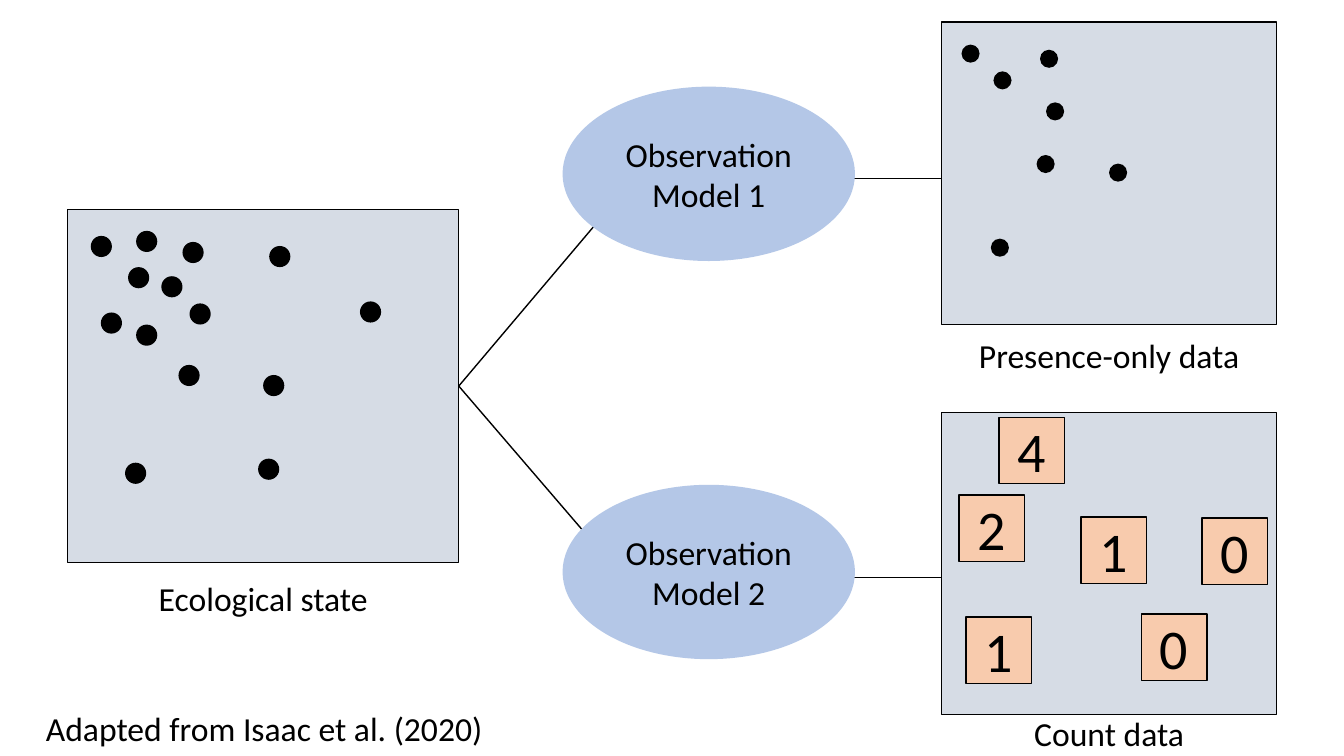
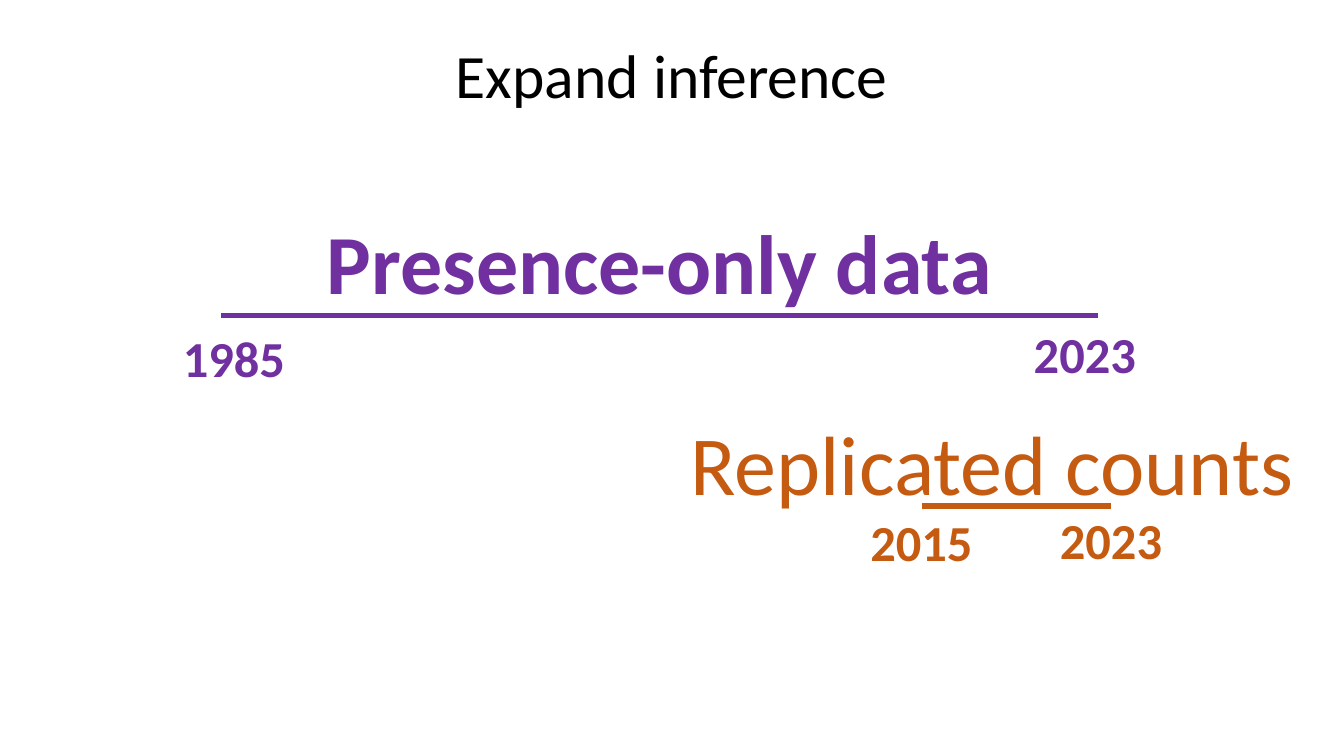
"""Build two slides on integrating presence-only and count data."""
import pptx
import pptx.util
from pptx.dml.color import RGBColor
from pptx.enum.shapes import MSO_CONNECTOR, MSO_SHAPE
from pptx.enum.text import MSO_ANCHOR, PP_ALIGN
from pptx.oxml.ns import qn
from lxml import etree

WIDTH, HEIGHT = 13.33, 7.5
FONT = "Calibri"
BLACK, PANEL, MODEL, TILE = "000000", "D6DCE5", "B4C7E7", "F8CBAD"
PURPLE, ORANGE = "7030A0", "C55A11"

STATE_PANEL = (0.67, 2.08, 3.88, 3.5)
PRESENCE_PANEL = (9.34, 0.22, 3.32, 3)
COUNT_PANEL = (9.34, 4.09, 3.32, 3)
DOT_SIZE = 0.21
DETECTED = [(0.23, 0.26), (0.6, 0.57), (1.14, 0.32), (1.21, 0.93),
            (1.1, 1.54), (1.94, 1.64), (0.57, 2.51)]
MISSED = [(0.68, 0.21), (0.68, 1.14), (2, 0.36), (1.89, 2.47),
          (2.9, 0.91), (0.93, 0.66), (0.33, 1.02)]
COUNTS = [("2", 0.17, 0.82), ("4", 0.57, 0.05), ("1", 0.24, 2.03),
          ("0", 1.98, 2), ("0", 2.58, 1.05), ("1", 1.38, 1.04)]
MODELS = [("Observation Model 1", 0.86), ("Observation Model 2", 4.81)]
CAPTIONS = [("Presence-only data", 9.34, 3.3, 3.32),
            ("Count data", 9.34, 7.05, 3.32),
            ("Ecological state", 0.67, 5.71, 3.88),
            ("Adapted from Isaac et al. (2020)", 0.17, 7, 4.9)]
LINKS = [(4.55, 3.83, 6.03, 2.08), (4.55, 3.83, 5.77, 5.25),
         (8.41, 1.77, 9.67, 1.77), (8.41, 5.73, 9.67, 5.73)]

TITLE = ("Expand inference", WIDTH / 2, 0.4, 44, False)
TIMELINES = [
    {"color": PURPLE, "bar": (2.19, 3.13, 10.89, 3.13),
     "labels": [("Presence-only data", 6.54, 2.15, 60, True),
                ("1985", 2.32, 3.26, 36, True),
                ("2023", 10.76, 3.22, 36, True)]},
    {"color": ORANGE, "bar": (9.14, 5.02, 11.02, 5.02),
     "labels": [("Replicated counts", 9.84, 4.15, 60, False),
                ("2015", 9.14, 5.09, 36, True),
                ("2023", 11.02, 5.07, 36, True)]},
]


def rgb(color):
    return RGBColor.from_string(color)


def inches(*lengths):
    return [pptx.util.Inches(length) for length in lengths]


def write(shape, text, size, color=BLACK, bold=False, anchor=MSO_ANCHOR.MIDDLE):
    frame = shape.text_frame
    frame.text = text
    frame.word_wrap = True
    frame.vertical_anchor = anchor
    paragraph = frame.paragraphs[0]
    paragraph.alignment = PP_ALIGN.CENTER
    font = paragraph.runs[0].font
    font.name, font.size, font.bold = FONT, pptx.util.Pt(size), bold
    font.color.rgb = rgb(color)
    return paragraph


def add_box(slide, kind, box, fill, outlined=False):
    shape = slide.shapes.add_shape(kind, *inches(*box))
    shape.shadow.inherit = False
    shape.fill.solid()
    shape.fill.fore_color.rgb = rgb(fill)
    if outlined:
        shape.line.color.rgb = rgb(BLACK)
        shape.line.width = pptx.util.Pt(1)
    else:
        shape.line.fill.background()
    return shape


def add_line(slide, ends, color, width):
    line = slide.shapes.add_connector(MSO_CONNECTOR.STRAIGHT, *inches(*ends))
    line.line.color.rgb = rgb(color)
    line.line.width = pptx.util.Pt(width)
    etree.SubElement(line._element.spPr, qn("a:effectLst"))


def add_label(slide, text, center, top, size, bold, color=BLACK):
    width, height = 6.8, 1.2
    box = slide.shapes.add_textbox(*inches(center - width / 2, top, width, height))
    write(box, text, size, color, bold, MSO_ANCHOR.TOP).line_spacing = 0.9


def add_dot_panel(slide, panel, dots):
    left, top, width, height = panel
    scale = width / STATE_PANEL[2]
    size = DOT_SIZE * scale
    add_box(slide, MSO_SHAPE.RECTANGLE, panel, PANEL, True)
    for x, y in dots:
        dot = (left + x * scale, top + y * scale, size, size)
        add_box(slide, MSO_SHAPE.OVAL, dot, BLACK)


def build_models(slide):
    for ends in LINKS:
        add_line(slide, ends, BLACK, 1)
    add_dot_panel(slide, STATE_PANEL, DETECTED + MISSED)
    add_dot_panel(slide, PRESENCE_PANEL, DETECTED)
    for text, top in MODELS:
        write(add_box(slide, MSO_SHAPE.OVAL, (5.58, top, 2.9, 1.73), MODEL), text, 24)
    add_box(slide, MSO_SHAPE.RECTANGLE, COUNT_PANEL, PANEL, True)
    for count, x, y in COUNTS:
        tile = (COUNT_PANEL[0] + x, COUNT_PANEL[1] + y, 0.65, 0.66)
        write(add_box(slide, MSO_SHAPE.RECTANGLE, tile, TILE, True), count, 40)
    for text, left, top, width in CAPTIONS:
        write(slide.shapes.add_textbox(*inches(left, top, width, 0.45)), text, 24)


def build_timelines(slide):
    add_label(slide, *TITLE)
    for timeline in TIMELINES:
        add_line(slide, timeline["bar"], timeline["color"], 4)
        for label in timeline["labels"]:
            add_label(slide, *label, timeline["color"])


def main():
    presentation = pptx.Presentation()
    presentation.slide_width, presentation.slide_height = inches(WIDTH, HEIGHT)
    for build in (build_models, build_timelines):
        build(presentation.slides.add_slide(presentation.slide_layouts[6]))
    presentation.save("out.pptx")


if __name__ == "__main__":
    main()
